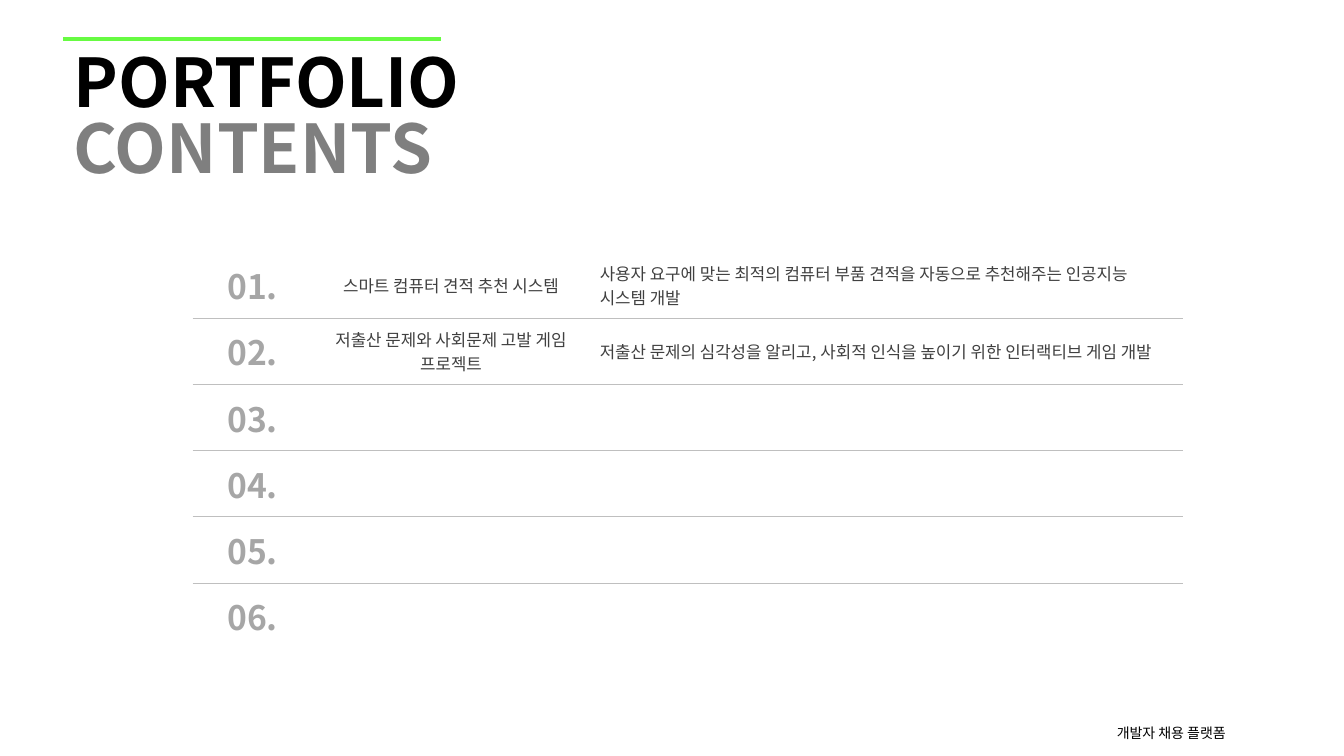
from dataclasses import dataclass

import pptx
import pptx.dml.color
import pptx.enum.shapes
import pptx.enum.text
import pptx.oxml
import pptx.oxml.ns
import pptx.util

Pt = pptx.util.Pt
ALIGN = pptx.enum.text.PP_ALIGN
ANCHOR = pptx.enum.text.MSO_ANCHOR


@dataclass(frozen=True)
class Theme:
    font: str = "Noto Sans CJK KR"
    ink: str = "000000"
    muted: str = "7F7F7F"
    number: str = "A6A6A6"
    body: str = "404040"
    rule: str = "BFBFBF"
    accent: str = "67FB42"
    title_size: int = 48
    number_size: int = 24
    body_size: int = 12
    footer_size: int = 10


def apply(target, formats):
    for attribute, value in formats.items():
        setattr(target, attribute, value)


class ContentsSlide:
    def __init__(self, slide, theme):
        self.slide = slide
        self.theme = theme

    def add_words(self, paragraph, words, size, color, bold=False):
        run = paragraph.add_run()
        run.text = words
        apply(run.font, {"name": self.theme.font, "size": Pt(size), "bold": bold})
        run.font.color.rgb = pptx.dml.color.RGBColor.from_string(color)
        east_asian = pptx.oxml.parse_xml(
            f'<a:ea {pptx.oxml.ns.nsdecls("a")} typeface="{self.theme.font}"/>')
        run.font._element.append(east_asian)

    def title(self, parts, left, top, width, height):
        heading = self.slide.shapes.title
        apply(heading, {"left": Pt(left), "top": Pt(top),
                        "width": Pt(width), "height": Pt(height)})
        apply(heading.text_frame, {
            "word_wrap": True, "vertical_anchor": ANCHOR.TOP,
            "auto_size": pptx.enum.text.MSO_AUTO_SIZE.NONE, "margin_top": Pt(9.4)})
        paragraph = heading.text_frame.paragraphs[0]
        apply(paragraph, {"alignment": ALIGN.LEFT, "line_spacing": 0.81})
        for words, color in parts:
            self.add_words(paragraph, words, self.theme.title_size, color, bold=True)

    def accent_line(self, left, top, length):
        line = self.slide.shapes.add_connector(
            pptx.enum.shapes.MSO_CONNECTOR.STRAIGHT,
            Pt(left), Pt(top), Pt(left + length), Pt(top))
        line.line.width = Pt(3)
        line.line.color.rgb = pptx.dml.color.RGBColor.from_string(self.theme.accent)
        line._element.spPr.append(
            pptx.oxml.parse_xml(f'<a:effectLst {pptx.oxml.ns.nsdecls("a")}/>'))

    def footer(self, words, left, top, width, height):
        box = self.slide.shapes.add_textbox(Pt(left), Pt(top), Pt(width), Pt(height))
        box.text_frame.word_wrap = True
        self.add_words(box.text_frame.paragraphs[0], words,
                       self.theme.footer_size, self.theme.ink)

    def borders(self, cell, ruled_sides):
        """Draw a thin rule on the given sides and clear the others."""
        properties = cell._tc.get_or_add_tcPr()
        rule = f'<a:solidFill><a:srgbClr val="{self.theme.rule}"/></a:solidFill>'
        for side in "LRTB":
            paint = rule if side in ruled_sides else "<a:noFill/>"
            properties.append(pptx.oxml.parse_xml(
                f'<a:ln{side} {pptx.oxml.ns.nsdecls("a")} w="{Pt(0.25)}">'
                f'{paint}</a:ln{side}>'))

    def contents(self, projects, count, left, top, column_widths, row_height):
        table = self.slide.shapes.add_table(
            count, len(column_widths), Pt(left), Pt(top),
            Pt(sum(column_widths)), Pt(row_height * count)).table
        apply(table, {"first_row": False, "horz_banding": False})
        for column, width in zip(table.columns, column_widths):
            column.width = Pt(width)
        number_style = (self.theme.number_size, self.theme.number, True)
        body_style = (self.theme.body_size, self.theme.body)
        styles = ((ALIGN.CENTER, number_style), (ALIGN.CENTER, body_style),
                  (ALIGN.LEFT, body_style))
        for index, row in enumerate(table.rows):
            row.height = Pt(row_height)
            project = projects[index] if index < len(projects) else ("", "")
            entries = (f"{index + 1:02d}.", *project)
            ruled_sides = ("T" if index else "") + ("B" if index < count - 1 else "")
            for cell, words, (alignment, style) in zip(row.cells, entries, styles):
                self.borders(cell, ruled_sides)
                cell.fill.background()
                cell.vertical_anchor = ANCHOR.MIDDLE
                paragraph = cell.text_frame.paragraphs[0]
                paragraph.alignment = alignment
                if words:
                    self.add_words(paragraph, words, *style)


def main():
    deck = pptx.Presentation()
    apply(deck, {"slide_width": Pt(960), "slide_height": Pt(540)})
    theme = Theme()
    page = ContentsSlide(deck.slides.add_slide(deck.slide_layouts[5]), theme)
    projects = (
        ("스마트 컴퓨터 견적 추천 시스템",
         "사용자 요구에 맞는 최적의 컴퓨터 부품 견적을 자동으로 추천해주는 인공지능 시스템 개발"),
        ("저출산 문제와 사회문제 고발 게임 프로젝트",
         "저출산 문제의 심각성을 알리고, 사회적 인식을 높이기 위한 인터랙티브 게임 개발"),
    )
    page.footer("개발자 채용 플랫폼", 790.6, 514, 116.6, 20)
    page.title((("PORTFOLIO", theme.ink), (" CONTENTS", theme.muted)),
               45.3, 30.2, 369.4, 123.8)
    page.accent_line(45.3, 27.6, 270)
    page.contents(projects, 6, 137.5, 180, (85.7, 198, 424), 47.28)
    deck.save("out.pptx")


if __name__ == "__main__":
    main()
